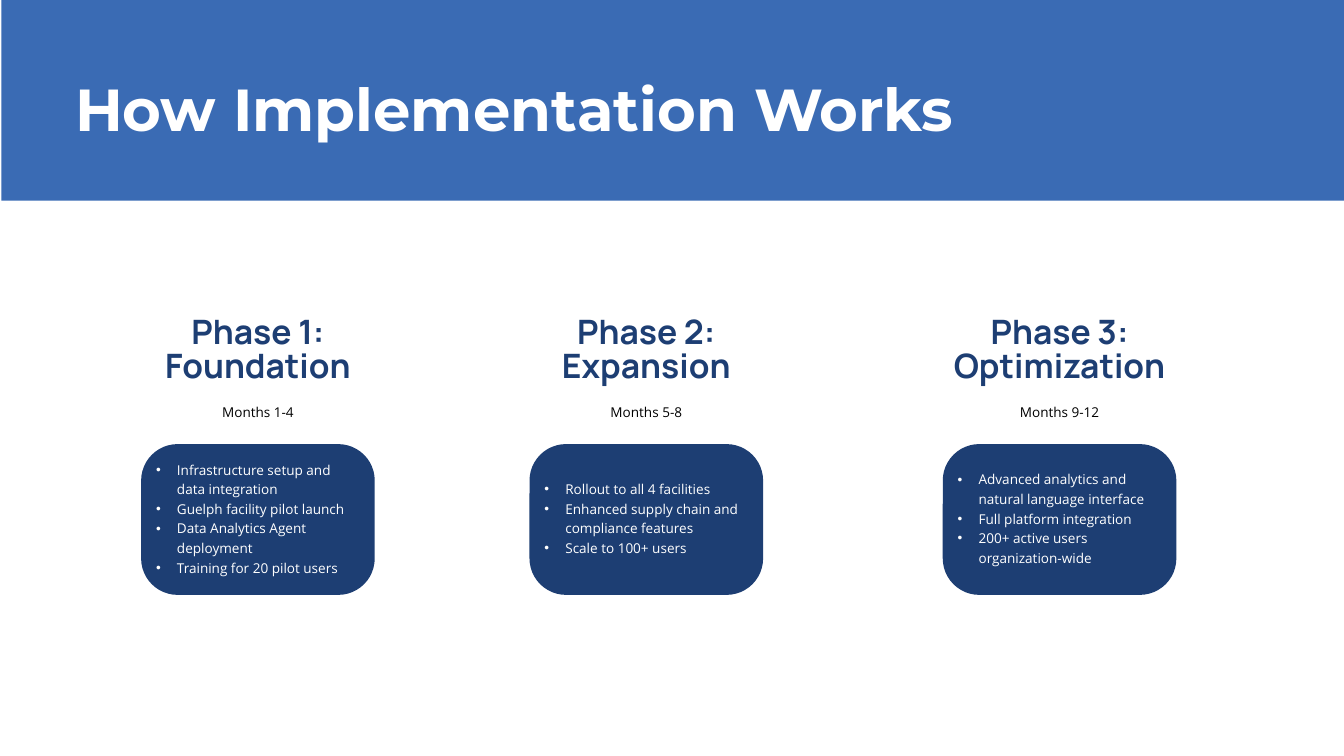
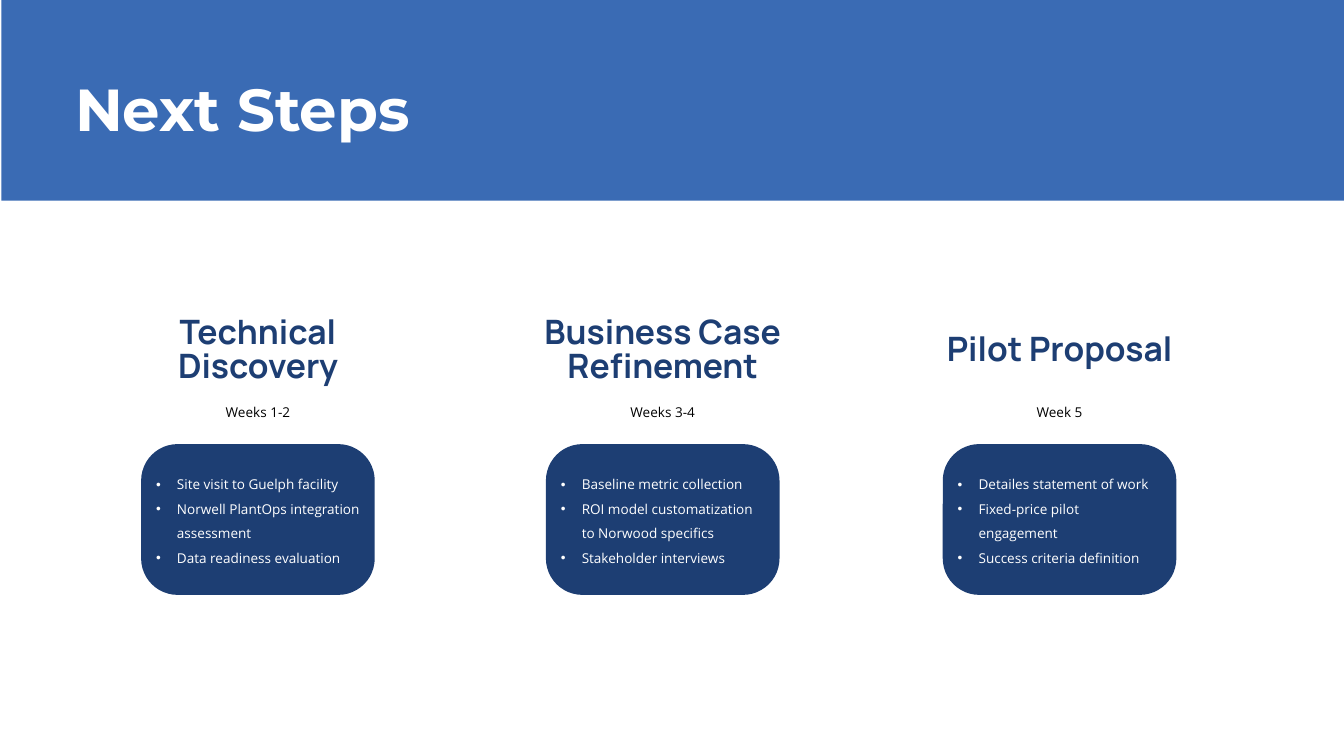
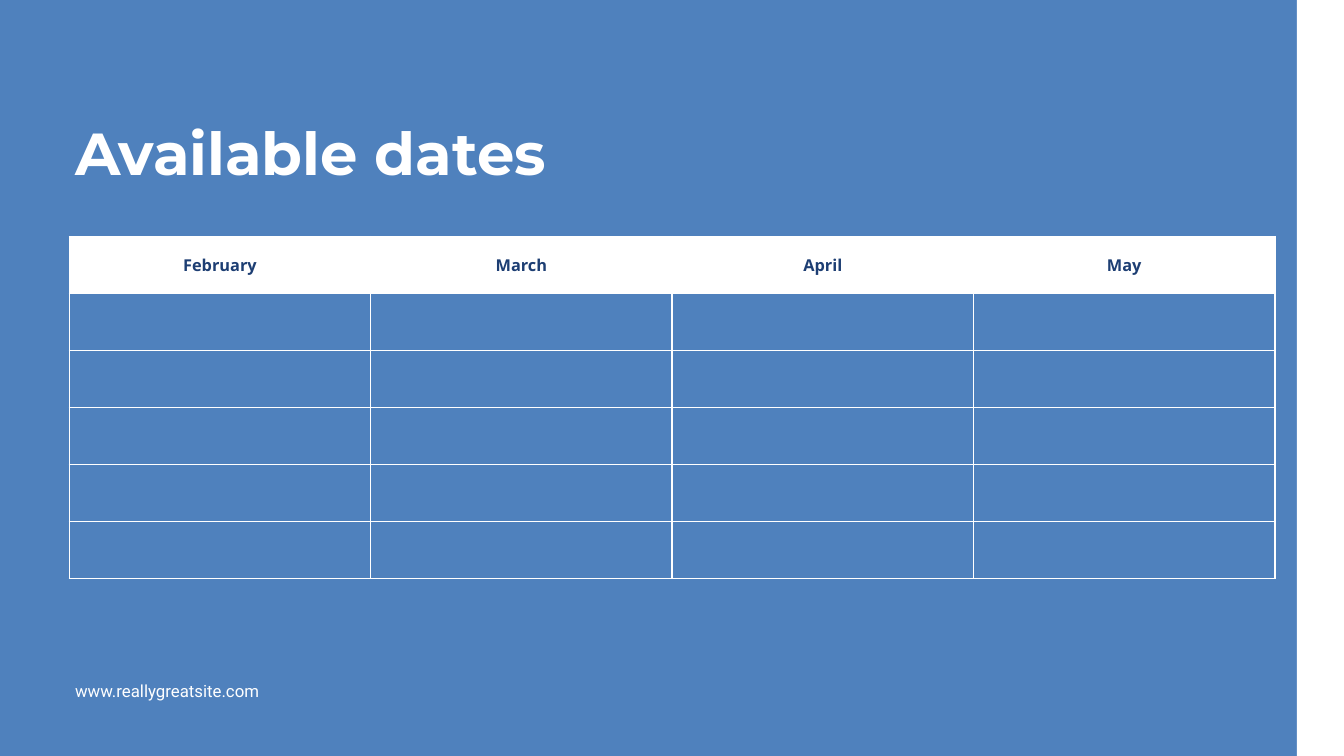
from dataclasses import dataclass

from lxml.etree import SubElement
from pptx import Presentation
from pptx.dml.color import RGBColor
from pptx.enum.shapes import MSO_SHAPE
from pptx.enum.text import MSO_ANCHOR, PP_ALIGN
from pptx.oxml import parse_xml
from pptx.oxml.ns import nsdecls, qn
from pptx.util import Cm, Pt


@dataclass(frozen=True)
class Theme:
    navy: str = "1D3E73"
    band: str = "3A6BB4"
    sky: str = "4F81BD"
    white: str = "FFFFFF"
    black: str = "000000"
    title_size: float = 63.5
    heading_size: float = 36
    body_size: float = 14.5
    month_size: float = 17.5
    website_size: float = 18


theme = Theme()
title_style = dict(font="Montserrat", size=theme.title_size, color=theme.white,
                   bold=True, spacing=70.4)
heading_style = dict(font="Manrope", size=theme.heading_size, color=theme.navy,
                     bold=True, spacing=36, align=PP_ALIGN.CENTER,
                     anchor=MSO_ANCHOR.MIDDLE)
period_style = dict(font="Open Sans", size=theme.body_size, color=theme.black,
                    spacing=21, align=PP_ALIGN.CENTER)
task_style = dict(font="Open Sans", size=theme.body_size, color=theme.white,
                  anchor=MSO_ANCHOR.MIDDLE, bullet=True)
month_style = dict(font="Open Sans", size=theme.month_size, color=theme.navy,
                   bold=True, spacing=25.2, align=PP_ALIGN.CENTER)
website_style = dict(font="Roboto", size=theme.website_size, color=theme.white,
                     spacing=27)


def write(frame, text, *, font, size, color, spacing, bold=False,
          align=PP_ALIGN.LEFT, anchor=MSO_ANCHOR.TOP, bullet=False):
    """Fill a text frame, one paragraph per line of text."""
    frame.word_wrap = True
    frame.vertical_anchor = anchor
    frame.margin_left = frame.margin_right = 0
    frame.margin_top = frame.margin_bottom = 0
    frame.text = text
    for paragraph in frame.paragraphs:
        paragraph.alignment = align
        if bullet:
            properties = paragraph._p.get_or_add_pPr()
            properties.set("marL", str(Cm(0.79)))
            properties.set("indent", str(-Cm(0.79)))
            SubElement(properties, qn("a:buFont"), typeface="Arial")
            SubElement(properties, qn("a:buChar"), char="•")
        paragraph.line_spacing = Pt(spacing)
        for run in paragraph.runs:
            run.font.name = font
            run.font.size = Pt(size)
            run.font.bold = bold
            run.font.color.rgb = RGBColor.from_string(color)


def add_block(slide, preset, color, left, top, width, height):
    block = slide.shapes.add_shape(preset, Cm(left), Cm(top), Cm(width), Cm(height))
    block.shadow.inherit = False
    block.fill.solid()
    block.fill.fore_color.rgb = RGBColor.from_string(color)
    block.line.fill.background()
    return block


deck = Presentation()
deck.slide_width, deck.slide_height = Cm(50.8), Cm(28.58)
blank = deck.slide_layouts[6]

# Slides 1 and 2: three columns, each (centre, heading, period, tasks)
plans = [
    ("How Implementation Works", 21, [
        (9.75, "Phase 1: Foundation", "Months 1-4",
         ["Infrastructure setup and data integration",
          "Guelph facility pilot launch",
          "Data Analytics Agent deployment",
          "Training for 20 pilot users"]),
        (24.43, "Phase 2: Expansion", "Months 5-8",
         ["Rollout to all 4 facilities",
          "Enhanced supply chain and compliance features",
          "Scale to 100+ users"]),
        (40.05, "Phase 3: Optimization", "Months 9-12",
         ["Advanced analytics and natural language interface",
          "Full platform integration",
          "200+ active users organization-wide"]),
    ]),
    ("Next Steps", 26.1, [
        (9.75, "Technical Discovery", "Weeks 1-2",
         ["Site visit to Guelph facility",
          "Norwell PlantOps integration assessment",
          "Data readiness evaluation"]),
        (25.05, "Business Case Refinement", "Weeks 3-4",
         ["Baseline metric collection",
          "ROI model customatization to Norwood specifics",
          "Stakeholder interviews"]),
        (40.05, "Pilot Proposal", "Week 5",
         ["Detailes statement of work",
          "Fixed-price pilot engagement",
          "Success criteria definition"]),
    ]),
]
card_width, card_height, card_radius = 8.83, 5.7, 1.38

for title, task_spacing, columns in plans:
    slide = deck.slides.add_slide(blank)
    add_block(slide, MSO_SHAPE.RECTANGLE, theme.band, 0.05, 0, 50.75, 7.59)
    title_box = slide.shapes.add_textbox(Cm(2.84), Cm(2.95), Cm(33.83), Cm(2.5))
    write(title_box.text_frame, title, **title_style)

    for centre, heading, period, tasks in columns:
        card = add_block(slide, MSO_SHAPE.ROUNDED_RECTANGLE, theme.navy,
                         centre - card_width / 2, 16.79, card_width, card_height)
        card.adjustments[0] = card_radius / card_height
        for text, top, width, height, style in [
            (heading, 11.99, 10.1, 2.59, heading_style),
            (period, 15.14, 7.7, 0.69, period_style),
            ("\n".join(tasks), 17.32, 7.7, 4.45,
             task_style | {"spacing": task_spacing}),
        ]:
            box = slide.shapes.add_textbox(Cm(centre - width / 2), Cm(top),
                                           Cm(width), Cm(height))
            write(box.text_frame, text, **style)

# Slide 3: calendar of available dates
slide = deck.slides.add_slide(blank)
slide.background.fill.solid()
slide.background.fill.fore_color.rgb = RGBColor.from_string(theme.navy)
add_block(slide, MSO_SHAPE.RECTANGLE, theme.sky, 0, 0, 50.8, 28.58)
add_block(slide, MSO_SHAPE.RECTANGLE, theme.white, 49.02, 0, 1.78, 28.58)
website = slide.shapes.add_textbox(Cm(2.84), Cm(25.55), Cm(7.37), Cm(0.89))
write(website.text_frame, "www.reallygreatsite.com", **website_style)
title_box = slide.shapes.add_textbox(Cm(2.84), Cm(4.6), Cm(19.43), Cm(2.54))
write(title_box.text_frame, "Available dates", **title_style)

months = ["February", "March", "April", "May"]
calendar = slide.shapes.add_table(6, len(months), Cm(2.62), Cm(8.94),
                                  Cm(45.57), Cm(12.93)).table
calendar.horz_banding = False
for cell in calendar.iter_cells():
    for side in ("lnL", "lnR", "lnT", "lnB"):
        cell._tc.get_or_add_tcPr().append(parse_xml(
            f'<a:{side} {nsdecls("a")} w="{Pt(1.5)}"><a:solidFill>'
            f'<a:srgbClr val="{theme.white}"/></a:solidFill></a:{side}>'))
    cell.fill.background()
for cell, month in zip(calendar.rows[0].cells, months):
    cell.fill.solid()
    cell.fill.fore_color.rgb = RGBColor.from_string(theme.white)
    cell.margin_left = cell.margin_right = Cm(0.53)
    cell.margin_top = cell.margin_bottom = Cm(0.53)
    cell.vertical_anchor = MSO_ANCHOR.MIDDLE
    write(cell.text_frame, month, **month_style)

deck.save("out.pptx")
